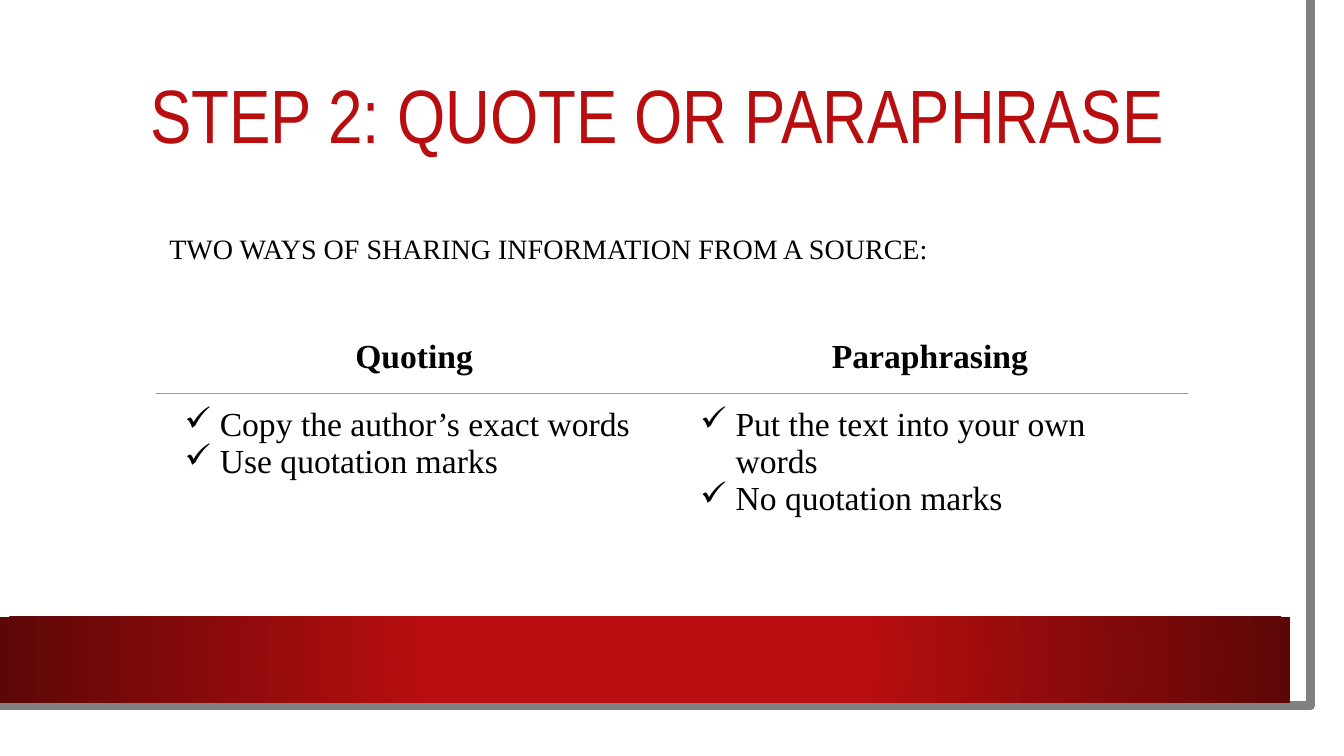
from dataclasses import dataclass
from lxml.etree import SubElement as Sub
from pptx import Presentation
from pptx.dml.color import RGBColor as RGB
from pptx.enum.shapes import MSO_SHAPE as Kind
from pptx.enum.text import MSO_ANCHOR as Anchor, MSO_AUTO_SIZE as Fit, PP_ALIGN as Align
from pptx.oxml import parse_xml
from pptx.oxml.ns import nsdecls, qn
from pptx.util import Inches, Pt


@dataclass
class Theme:
    red: str = "B80E0F"
    dark: str = "5C0707"
    gray: str = "808080"
    rule: str = "999999"
    ink: str = "000000"
    paper: str = "FFFFFF"
    head: str = "Arial Narrow"
    text: str = "Times New Roman"
    big: int = 54
    mid: int = 24
    small: int = 20


theme = Theme()
pad = Inches(0.13)


def style(para, face, size, color, bold=False):
    for run in para.runs:
        font = run.font
        font.name, font.size, font.bold = face, Pt(size), bold
        font.color.rgb = RGB.from_string(color)


def place(shape, left, top, width, height):
    shape.left, shape.top = Inches(left), Inches(top)
    shape.width, shape.height = Inches(width), Inches(height)
    frame = shape.text_frame
    frame.margin_left = frame.margin_right = pad
    frame.margin_top = frame.margin_bottom = pad
    frame.word_wrap, frame.auto_size = True, Fit.NONE
    frame.vertical_anchor = Anchor.TOP
    return frame


deck = Presentation()
deck.slide_width, deck.slide_height = Inches(13.33), Inches(7.5)
slide = deck.slides.add_slide(deck.slide_layouts[1])
shapes = slide.shapes
title, body = shapes.title, slide.placeholders[1]

# White sheet
sheet = shapes.add_shape(Kind.RECTANGLE, 0, 0, Inches(13.1), Inches(7.27))
sheet.shadow.inherit = False
sheet.fill.solid()
sheet.fill.fore_color.rgb = RGB.from_string(theme.paper)
sheet.line.fill.background()

# Gray edge on the right and bottom
path = shapes.build_freeform(12.82, 0, scale=Inches(1))
path.add_line_segments([(12.85, 7.02), (-0.03, 7.01)], close=False)
edge = path.convert_to_shape()
edge.shadow.inherit = False
edge.fill.background()
edge.line.color.rgb = RGB.from_string(theme.gray)
edge.line.width = Pt(6.5)

# Red band with a radial gradient
band = shapes.add_shape(Kind.RECTANGLE, 0, Inches(6.12), Inches(12.8), Inches(0.85))
band.shadow.inherit = False
band.line.fill.background()
band.fill.background()
props = band._element.spPr
props.replace(props.find(qn("a:noFill")), parse_xml(
    f'<a:gradFill {nsdecls("a")} rotWithShape="1"><a:gsLst>'
    f'<a:gs pos="34000"><a:srgbClr val="{theme.red}"/></a:gs>'
    f'<a:gs pos="100000"><a:srgbClr val="{theme.dark}"/></a:gs></a:gsLst>'
    '<a:path path="circle"><a:fillToRect l="50000" t="50000" r="50000" b="50000"/>'
    '</a:path></a:gradFill>'))

# Title and lead line, brought in front of the sheet
lines = [
    (title, (1.36, 0.65, 10.5, 0.84), "STEP 2: QUOTE OR PARAPHRASE",
     0.9, (theme.head, theme.big, theme.red)),
    (body, (1.55, 2, 10.5, 0.71), "TWO WAYS OF SHARING INFORMATION FROM A SOURCE:",
     1.5, (theme.text, theme.small, theme.ink)),
]
for holder, box, words, gap, look in lines:
    shapes._spTree.append(holder._element)
    frame = place(holder, *box)
    frame.text = words
    para = frame.paragraphs[0]
    para.alignment, para.line_spacing = Align.LEFT, gap
    para.space_before = Pt(0)
    tags = para._p.get_or_add_pPr()
    tags.set("marL", "0")
    tags.set("indent", "0")
    Sub(tags, qn("a:buNone"))
    style(para, *look)

# Table of the two ways
ways = {
    "Quoting": ["Copy the author’s exact words", "Use quotation marks"],
    "Paraphrasing": ["Put the text into your own words", "No quotation marks"],
}
table = shapes.add_table(2, len(ways), Inches(1.55), Inches(3.23),
                         Inches(10.23), Inches(2.14)).table
table.first_row = table.horz_banding = False
table._tbl.tblPr.find(qn("a:tableStyleId")).text = "{2D5ABB26-0587-4C30-8999-92F81FD0307C}"
for row, high in zip(table.rows, (0.67, 1.47)):
    row.height = Inches(high)

for col, (name, points) in enumerate(ways.items()):
    for row, (words, side) in enumerate([([name], "lnB"), (points, "lnT")]):
        cell = table.cell(row, col)
        cell.margin_left = cell.margin_right = pad
        cell.margin_top = cell.margin_bottom = pad
        cell.fill.background()
        cell._tc.get_or_add_tcPr().insert(0, parse_xml(
            f'<a:{side} {nsdecls("a")} w="{Pt(0.75)}"><a:solidFill>'
            f'<a:srgbClr val="{theme.rule}"/></a:solidFill></a:{side}>'))
        cell.text = "\n".join(words)
        for para in cell.text_frame.paragraphs:
            if row == 0:
                para.alignment = Align.CENTER
            else:
                tags = para._p.get_or_add_pPr()
                tags.set("marL", str(Inches(0.5)))
                tags.set("indent", str(-Inches(0.35)))
                Sub(Sub(tags, qn("a:buClr")), qn("a:srgbClr"), val=theme.ink)
                Sub(tags, qn("a:buChar"), char="✓")
            style(para, theme.text, theme.mid, theme.ink, row == 0)

deck.save("out.pptx")
